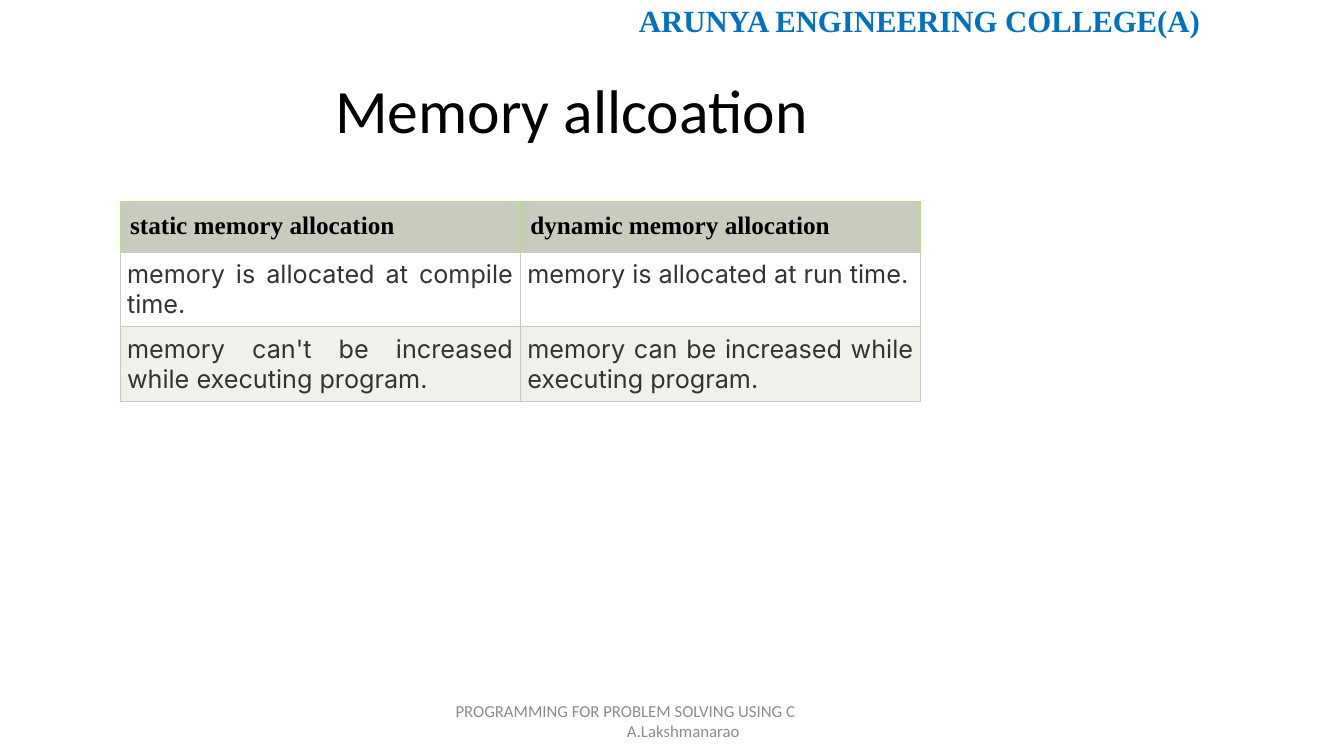
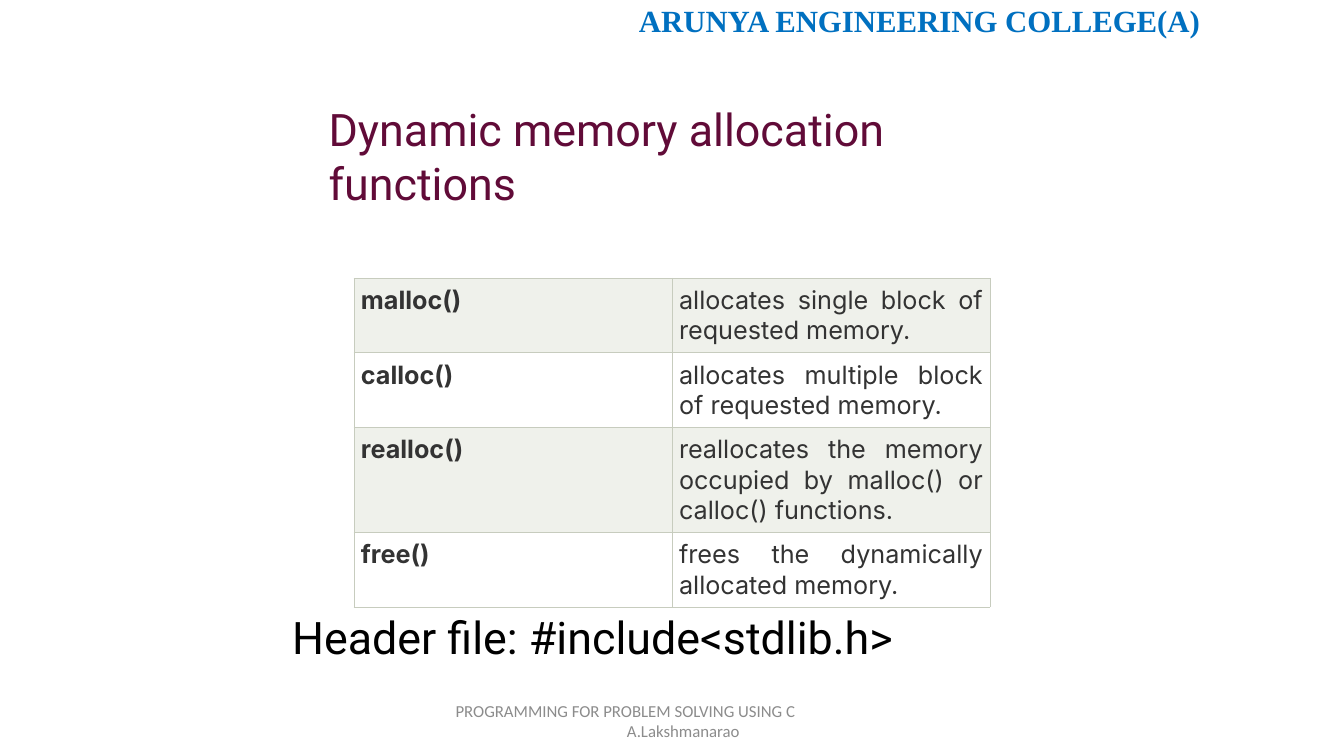
from lxml import etree
from pptx import Presentation
from pptx.dml.color import RGBColor
from pptx.enum.text import MSO_ANCHOR, PP_ALIGN
from pptx.oxml.ns import qn
from pptx.util import Inches, Pt

LEFT, RIGHT, JUSTIFY = PP_ALIGN.LEFT, PP_ALIGN.RIGHT, PP_ALIGN.JUSTIFY
TOP, MIDDLE = MSO_ANCHOR.TOP, MSO_ANCHOR.MIDDLE

BAND = {"name": "Times New Roman", "size": Pt(22), "bold": True, "color": "0070C0"}
TITLE = {"name": "Calibri", "size": Pt(44), "color": "000000"}
HEADING = {"name": "Roboto", "size": Pt(32), "color": "610B38"}
NOTE = {**HEADING, "color": "000000"}
FOOTER = {"name": "Calibri", "size": Pt(12), "color": "8C8C8C"}
HEAD_CELL = {"name": "Times New Roman", "size": Pt(18), "bold": True, "color": "000000"}
BODY_CELL = {"name": "Inter", "size": Pt(18), "bold": False, "color": "333333"}
NAME_CELL = {**BODY_CELL, "bold": True}
GRID, HEAD_EDGE, TINT, WHITE = "C7CCBE", "B8DA89", "EFF1EB", "FFFFFF"

prs = Presentation()
prs.slide_width, prs.slide_height = Inches(13.33), Inches(7.5)
COL, ROW = prs.slide_width / 100, prs.slide_height / 100


def write(p, text, fmt, align=LEFT):
    p.alignment = align
    r = p.add_run()
    r.text = text
    for key, value in fmt.items():
        if key == "color":
            r.font.color.rgb = RGBColor.from_string(value)
        else:
            setattr(r.font, key, value)


def add_text(s, area, lines, fmt, align=LEFT, anchor=TOP):
    x, y, w, h = area
    tf = s.shapes.add_textbox(int(x * COL), int(y * ROW), int(w * COL), int(h * ROW)).text_frame
    tf.word_wrap = True
    tf.vertical_anchor = anchor
    for i, line in enumerate(lines):
        p = tf.add_paragraph() if i else tf.paragraphs[0]
        write(p, line, fmt, align)
    return tf


slides = [
    {
        "texts": [((24.2, 5.33, 60, 19.33), "Memory allcoation", TITLE, MIDDLE)],
        "table": (8.93, 26.67, 59.56),
        "heights": [6.4, 9.87, 9.87],
        "header": True,
        "rows": [
            ("static memory allocation", "dynamic memory allocation"),
            ("memory is allocated at compile time.", "memory is allocated at run time."),
            ("memory can't be increased while executing program.",
             "memory can be increased while executing program."),
        ],
    },
    {
        "texts": [
            ((23.71, 12.8, 56.11, 8.53), "Dynamic memory allocation functions", HEADING, TOP),
            ((21, 80, 56.11, 8.53), "Header file: #include<stdlib.h>", NOTE, TOP),
        ],
        "table": (26.33, 36.8, 47.34),
        "heights": [9.87, 9.87, 13.87, 9.87],
        "header": False,
        "rows": [
            ("malloc()", "allocates single block of requested memory."),
            ("calloc()", "allocates multiple block of requested memory."),
            ("realloc()", "reallocates the memory occupied by malloc() or calloc() functions."),
            ("free()", "frees the dynamically allocated memory."),
        ],
    },
]

for content in slides:
    s = prs.slides.add_slide(prs.slide_layouts[6])
    add_text(s, (36.23, -0.4, 53.79, 6.27), ["ARUNYA ENGINEERING COLLEGE(A)"], BAND, RIGHT)
    footer = add_text(s, (33.16, 92.67, 33.76, 5.33),
                      ["PROGRAMMING FOR PROBLEM SOLVING USING C", "A.Lakshmanarao"],
                      FOOTER, anchor=MIDDLE)
    footer.paragraphs[1]._p.get_or_add_pPr().set("marL", str(Inches(1.7)))

    for area, text, fmt, anchor in content["texts"]:
        tf = add_text(s, area, [text], fmt, anchor=anchor)
        if fmt is TITLE:
            tf.paragraphs[0].line_spacing = 0.9

    x, y, w = content["table"]
    rows, heights = content["rows"], content["heights"]
    table = s.shapes.add_table(len(rows), 2, int(x * COL), int(y * ROW),
                               int(w * COL), int(sum(heights) * ROW)).table
    table.first_row = table.horz_banding = False
    for i, (height, texts) in enumerate(zip(heights, rows)):
        table.rows[i].height = int(height * ROW)
        head = content["header"] and i == 0
        fill = GRID if head else TINT if i % 2 == 0 else WHITE
        inset = Inches(0.1 if head else 0.07)
        for j, text in enumerate(texts):
            cell = table.cell(i, j)
            for side in ("left", "top", "right", "bottom"):
                setattr(cell, "margin_" + side, inset)
            tcPr = cell._tc.get_or_add_tcPr()
            for edge in ("lnL", "lnR", "lnT", "lnB"):
                ln = etree.SubElement(tcPr, qn("a:" + edge), w=str(Pt(0.6)))
                solid = etree.SubElement(ln, qn("a:solidFill"))
                color = HEAD_EDGE if head and edge != "lnB" else GRID
                etree.SubElement(solid, qn("a:srgbClr"), val=color)
            cell.fill.solid()
            cell.fill.fore_color.rgb = RGBColor.from_string(fill)
            named = not content["header"] and j == 0
            fmt = HEAD_CELL if head else NAME_CELL if named else BODY_CELL
            write(cell.text_frame.paragraphs[0], text, fmt, LEFT if head else JUSTIFY)

prs.save("out.pptx")
